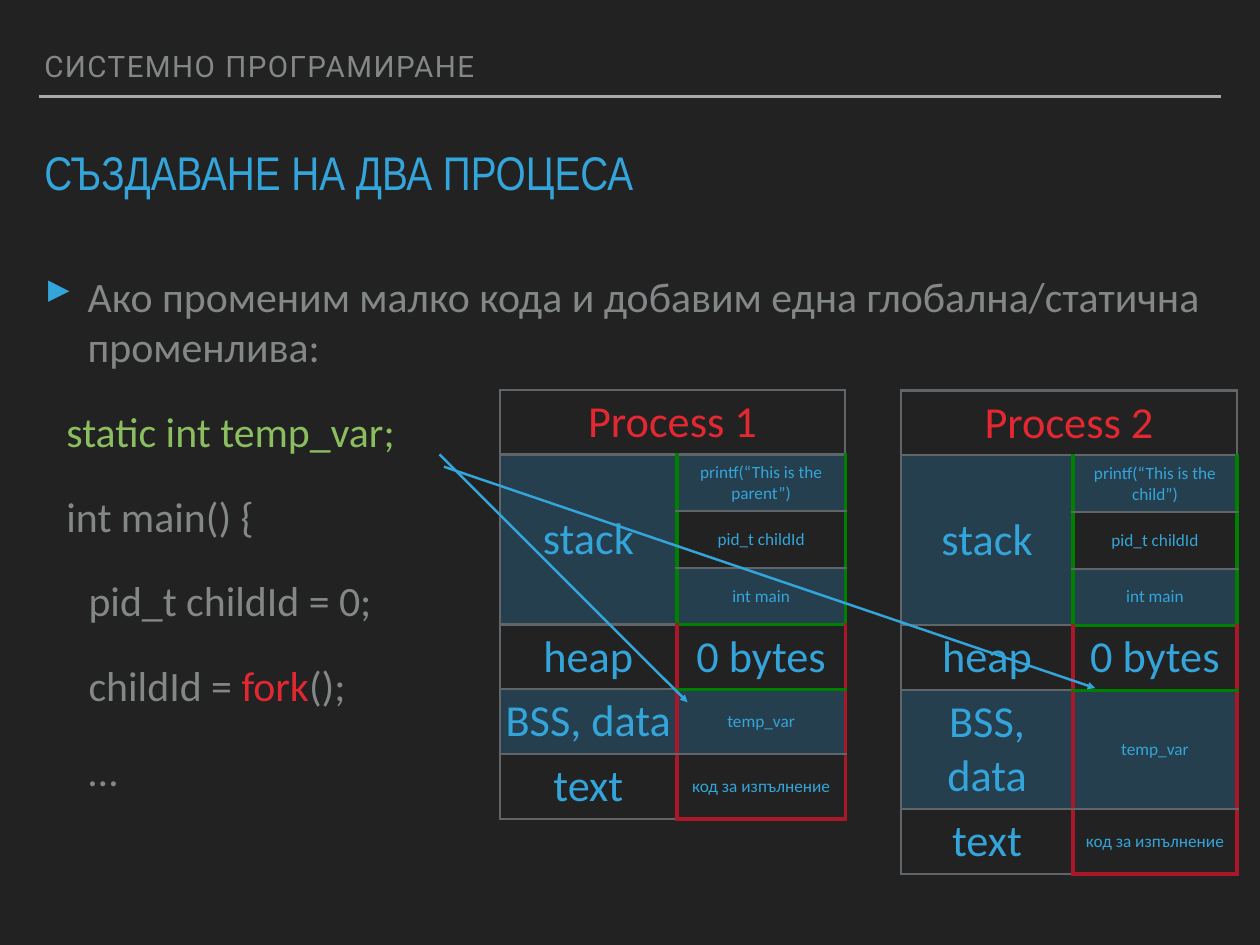
import pptx
import pptx.util
import pptx.dml.color
import pptx.enum.shapes
import pptx.enum.text
import pptx.oxml.ns
from lxml import etree

Inches = pptx.util.Inches
Pt = pptx.util.Pt
qn = pptx.oxml.ns.qn
ALIGN = pptx.enum.text.PP_ALIGN
ANCHOR = pptx.enum.text.MSO_ANCHOR

COLORS = {
    "background": "222222", "rule": "A6AAA9", "text": "838787", "blue": "34A5DA",
    "code": "8ABE5E", "red": "E42832", "band": "2E87BB",
    "grid": "5F6568", "stack": "008000", "shared": "AA1728",
}
INSET = Inches(0.06)
GRID, STACK, SHARED = ("grid", 2), ("stack", 3), ("shared", 3)
BANDED_ROWS = (1, 3, 5)


def rgb(name):
    return pptx.dml.color.RGBColor.from_string(COLORS[name])


def add_element(parent, tag, **attributes):
    return etree.SubElement(parent, qn(tag), attributes)


def add_text(paragraph, text, size=34, font="Calibri", color="text", before=None,
             line_spacing=None, align=ALIGN.LEFT, tracking=None):
    """Add one formatted run to a paragraph."""
    paragraph.alignment = align
    if line_spacing:
        paragraph.line_spacing = line_spacing
    if before is not None:
        paragraph.space_before = Pt(before)
    run = paragraph.add_run()
    run.text = text
    run.font.size = Pt(size)
    run.font.name = font
    run.font.bold = False
    run.font.color.rgb = rgb(color)
    if tracking:
        run.font._element.set("spc", str(round(tracking * 100)))


def set_frame(frame, anchor):
    frame.word_wrap = True
    frame.auto_size = pptx.enum.text.MSO_AUTO_SIZE.NONE
    frame.vertical_anchor = anchor
    frame.margin_left = frame.margin_right = INSET
    frame.margin_top = frame.margin_bottom = INSET


def add_text_box(slide, left, top, width, height, anchor=ANCHOR.TOP):
    box = slide.shapes.add_textbox(Inches(left), Inches(top), Inches(width), Inches(height))
    set_frame(box.text_frame, anchor)
    return box.text_frame


def set_indent(paragraph, margin, indent):
    properties = paragraph._p.get_or_add_pPr()
    properties.set("marL", str(Inches(margin)))
    properties.set("indent", str(Inches(indent)))
    return properties


def add_bullet(paragraph):
    properties = set_indent(paragraph, 0.49, -0.49)
    bullet_color = add_element(properties, "a:buClr")
    add_element(bullet_color, "a:srgbClr", val=COLORS["blue"])
    add_element(properties, "a:buSzPct", val="105000")
    add_element(properties, "a:buChar", char="▸")


def add_line(slide, start, end, color, arrow=False):
    line = slide.shapes.add_connector(
        pptx.enum.shapes.MSO_CONNECTOR.STRAIGHT,
        Inches(start[0]), Inches(start[1]), Inches(end[0]), Inches(end[1]))
    line.line.color.rgb = rgb(color)
    line.line.width = Pt(2)
    if arrow:
        add_element(line.line._get_or_add_ln(), "a:tailEnd", type="triangle")
    add_element(line._element.spPr, "a:effectLst")


def set_borders(cell, left, right, top, bottom):
    properties = cell._tc.get_or_add_tcPr()
    sides = (("a:lnL", left), ("a:lnR", right), ("a:lnT", top), ("a:lnB", bottom))
    for index, (tag, (color, width)) in enumerate(sides):
        border = etree.Element(qn(tag), w=str(Pt(width)))
        add_element(add_element(border, "a:solidFill"), "a:srgbClr", val=COLORS[color])
        properties.insert(index, border)


def fill_cell(cell, banded):
    if not banded:
        cell.fill.background()
        return
    cell.fill.solid()
    cell.fill.fore_color.rgb = rgb("band")
    color = cell._tc.tcPr.find(".//" + qn("a:srgbClr"))
    add_element(color, "a:alpha", val="29000")


def border_sides(row, column):
    """Left, right, top and bottom border of a cell."""
    if row == 0:
        return GRID, GRID, GRID, GRID
    edge = STACK if row <= 3 else SHARED
    if column == 0:
        return GRID, edge, GRID, GRID
    top = STACK if row in (4, 5) else GRID
    bottom = {3: STACK, 4: STACK, 6: SHARED}.get(row, GRID)
    return edge, edge, top, bottom


def add_process_table(slide, name, role, left, top, widths):
    rows = [
        (name, ""),
        ("stack", f"printf(“This is the {role}”)"),
        ("", "pid_t childId"),
        ("", "int main"),
        ("heap", "0 bytes"),
        ("BSS, data", "temp_var"),
        ("text", "код за изпълнение"),
    ]
    table = slide.shapes.add_table(len(rows), 2, Inches(left), Inches(top),
                                   Inches(sum(widths)), Inches(4.5)).table
    table.first_row = table.horz_banding = False
    for column, width in zip(table.columns, widths):
        column.width = Inches(width)
    for row_index, texts in enumerate(rows):
        table.rows[row_index].height = Inches(0.64)
        for column_index, text in enumerate(texts):
            cell = table.cell(row_index, column_index)
            fill_cell(cell, row_index in BANDED_ROWS or (row_index == 2 and column_index == 0))
            set_borders(cell, *border_sides(row_index, column_index))
            cell.vertical_anchor = ANCHOR.MIDDLE
            cell.margin_left = cell.margin_right = INSET
            cell.margin_top = cell.margin_bottom = INSET
            if text:
                large = column_index == 0 or text == "0 bytes"
                add_text(cell.text_frame.paragraphs[0], text, size=36 if large else 14,
                         color="red" if row_index == 0 else "blue",
                         before=24, align=ALIGN.CENTER)
    table.cell(0, 0).merge(table.cell(0, 1))
    table.cell(1, 0).merge(table.cell(3, 0))


def add_body(slide):
    frame = add_text_box(slide, 0.44, 3, 13.33, 6.68)
    intro = frame.paragraphs[0]
    add_text(intro, "Ако променим малко кода и добавим една глобална/статична променлива:",
             before=28)
    add_bullet(intro)
    code_lines = [
        (0.25, [("static int temp_var;", "code")]),
        (0.25, [("int main() {", "text")]),
        (0.5, [("pid_t childId = 0;", "text")]),
        (0.5, [("childId = ", "text"), ("fork", "red"), ("();", "text")]),
        (0.5, [("…", "text")]),
    ]
    for indent, runs in code_lines:
        paragraph = frame.add_paragraph()
        set_indent(paragraph, 0, indent)
        for text, color in runs:
            add_text(paragraph, text, color=color, before=28)


def main():
    presentation = pptx.Presentation()
    presentation.slide_width = Inches(14.22)
    presentation.slide_height = Inches(10.67)
    slide = presentation.slides.add_slide(presentation.slide_layouts[5])
    slide.background.fill.solid()
    slide.background.fill.fore_color.rgb = rgb("background")

    # Course header and rule
    add_line(slide, (0.44, 1.09), (13.78, 1.09), "rule")
    header = add_text_box(slide, 0.44, 0.5, 12.22, 0.5, ANCHOR.BOTTOM)
    add_text(header.paragraphs[0], "СИСТЕМНО ПРОГРАМИРАНЕ", size=24, font="Roboto",
             line_spacing=0.8, tracking=1.2)

    # Title
    title = slide.shapes.title
    title.left, title.top = Inches(0.44), Inches(1.68)
    title.width, title.height = Inches(13.33), Inches(0.79)
    set_frame(title.text_frame, ANCHOR.TOP)
    add_text(title.text_frame.paragraphs[0], "СЪЗДАВАНЕ НА ДВА ПРОЦЕСА", size=38.4,
             font="Arial Narrow", color="blue", before=17, line_spacing=0.8)

    # Code and memory of both processes
    add_body(slide)
    add_process_table(slide, "Process 1", "parent", 5.64, 4.4, (2, 1.9))
    add_process_table(slide, "Process 2", "child", 10.17, 4.41, (1.94, 1.85))

    # Arrows from the variable to its two copies
    add_line(slide, (4.96, 5.13), (7.76, 7.93), "blue", arrow=True)
    add_line(slide, (5.01, 5.27), (12.36, 7.77), "blue", arrow=True)

    presentation.save("out.pptx")


main()
